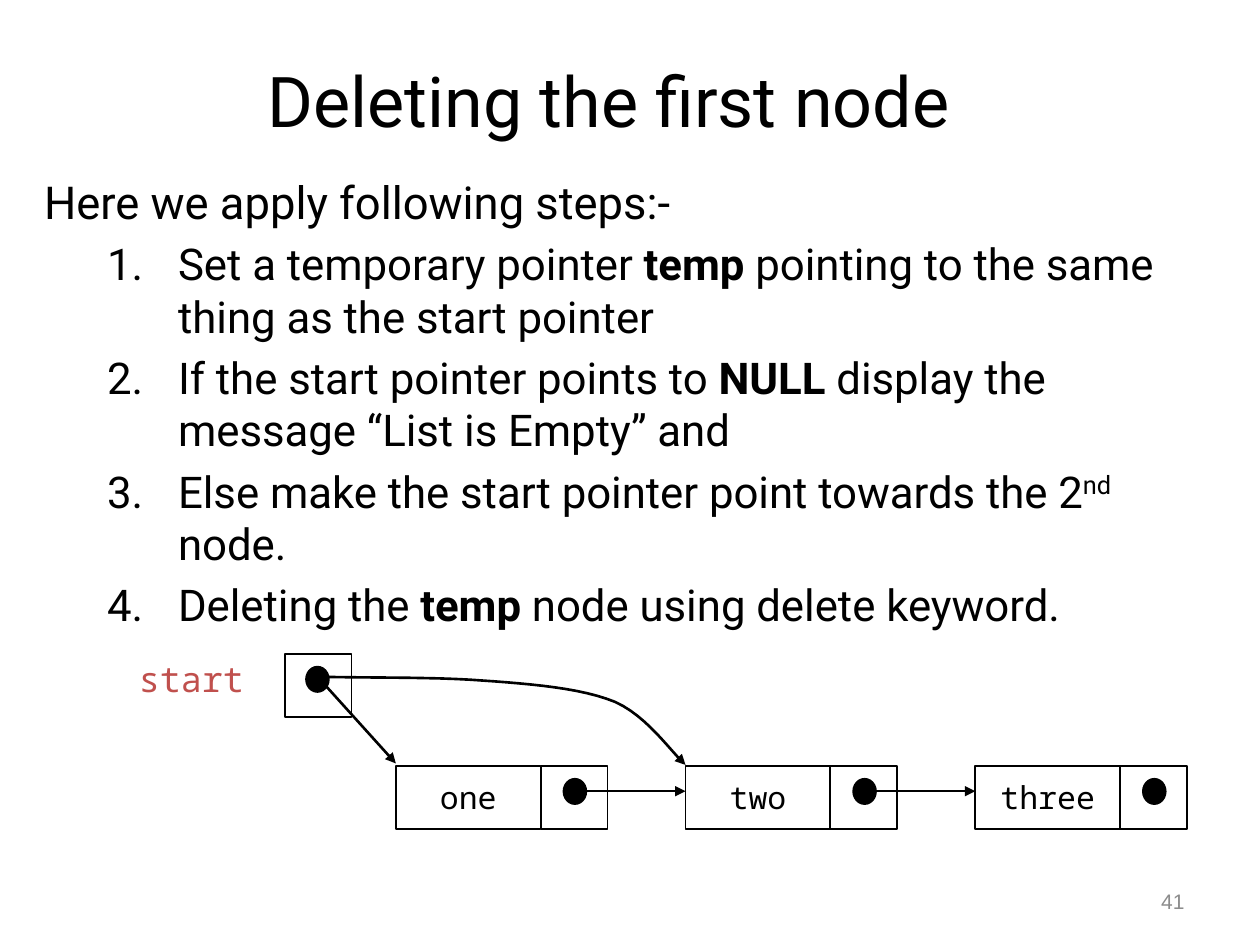
from lxml.etree import SubElement
from pptx import Presentation
from pptx.dml.color import RGBColor
from pptx.enum.shapes import MSO_CONNECTOR, MSO_SHAPE
from pptx.enum.text import MSO_ANCHOR, PP_ALIGN
from pptx.oxml.ns import qn
from pptx.util import Cm, Pt

COLORS = {"ink": "000000", "start": "C0504D", "number": "8C8C8C"}
BODY_FONT, CODE_FONT = "Roboto", "Noto Sans Mono"

prs = Presentation()
prs.slide_width, prs.slide_height = Cm(25.4), Cm(19.05)
slide = prs.slides.add_slide(prs.slide_layouts[6])
shapes = slide.shapes


def add_run(paragraph, text, size, font, color="ink", bold=False):
    run = paragraph.add_run()
    run.text = text
    run.font.size, run.font.name, run.font.bold = Pt(size), font, bold
    run.font.color.rgb = RGBColor.from_string(COLORS[color])
    return run


def style_line(shape, width, arrow=False):
    shape.line.color.rgb = RGBColor.from_string(COLORS["ink"])
    shape.line.width = Pt(width)
    if arrow:
        SubElement(shape.line._get_or_add_ln(), qn("a:tailEnd"), type="triangle")


# Title, start label and slide number
for text, box, size, font, color, align, anchor in [
    ("Deleting the first node", (0.84, 0.84, 22.86, 2.34), 40, BODY_FONT, "ink",
     PP_ALIGN.CENTER, MSO_ANCHOR.MIDDLE),
    ("start", (2.55, 13.13, 3.42, 1.32), 20, CODE_FONT, "start",
     PP_ALIGN.LEFT, MSO_ANCHOR.TOP),
    ("41", (18.21, 17.65, 5.92, 1.02), 12, "Arial", "number",
     PP_ALIGN.RIGHT, MSO_ANCHOR.MIDDLE),
]:
    frame = shapes.add_textbox(*map(Cm, box)).text_frame
    frame.word_wrap, frame.vertical_anchor = True, anchor
    frame.paragraphs[0].alignment = align
    add_run(frame.paragraphs[0], text, size, font, color)

# Steps: each run is its text and its style
steps = [
    [("Set a temporary pointer ", ""), ("temp ", "bold"),
     ("pointing to the same thing as the start pointer", "")],
    [("If the start pointer points to ", ""), ("NULL ", "bold"),
     ("display the message “List is Empty” and", "")],
    [("Else make the start pointer point towards the 2", ""), ("nd", "super"),
     (" node.", "")],
    [("Deleting the ", ""), ("temp", "bold"), (" node using delete keyword.", "")],
]
body = shapes.add_textbox(Cm(0.64), Cm(3.38), Cm(24.13), Cm(8.89)).text_frame
body.word_wrap = True
add_run(body.paragraphs[0], "Here we apply following steps:-", 25.9, BODY_FONT)
for step in steps:
    paragraph = body.add_paragraph()
    properties = paragraph._p.get_or_add_pPr()
    properties.set("marL", str(Cm(2.7)))
    properties.set("indent", str(Cm(-1.43)))
    paragraph.space_before = Pt(5)
    SubElement(properties, qn("a:buFont"), typeface="+mj-lt")
    SubElement(properties, qn("a:buAutoNum"), type="arabicPeriod")
    for text, style in step:
        run = add_run(paragraph, text, 25, BODY_FONT, bold=style == "bold")
        if style == "super":
            run.font._element.set("baseline", "30000")

# Linked list
FIRST_LEFT, NODE_STEP, NODE_TOP = 7.98, 5.84, 15.44
DATA_WIDTH, POINTER_WIDTH, CELL_HEIGHT = 2.92, 1.35, 1.27
DOT_WIDTH, DOT_HEIGHT = 0.46, 0.51
START_LEFT, START_TOP = 5.74, 13.18
LINK_Y = 15.95
node_lefts = [FIRST_LEFT + NODE_STEP * i for i in range(3)]

cells = [(START_LEFT, START_TOP, POINTER_WIDTH, "")]
dots = [(START_LEFT + 0.43, START_TOP + 0.26)]
for left, label in zip(node_lefts, ["one", "two", "three"]):
    cells.append((left, NODE_TOP, DATA_WIDTH, label))
    cells.append((left + DATA_WIDTH, NODE_TOP, POINTER_WIDTH, ""))
    dots.append((left + DATA_WIDTH + 0.46, NODE_TOP + 0.26))

for left, top, width, label in cells:
    cell = shapes.add_shape(MSO_SHAPE.RECTANGLE, Cm(left), Cm(top), Cm(width), Cm(CELL_HEIGHT))
    cell.shadow.inherit = False
    cell.fill.background()
    style_line(cell, 1)
    if label:
        cell.text_frame.word_wrap = False
        cell.text_frame.vertical_anchor = MSO_ANCHOR.MIDDLE
        cell.text_frame.paragraphs[0].alignment = PP_ALIGN.CENTER
        add_run(cell.text_frame.paragraphs[0], label, 18, CODE_FONT)

for left, top in dots:
    dot = shapes.add_shape(MSO_SHAPE.OVAL, Cm(left), Cm(top), Cm(DOT_WIDTH), Cm(DOT_HEIGHT))
    dot.shadow.inherit = False
    dot.fill.solid()
    dot.fill.fore_color.rgb = RGBColor.from_string(COLORS["ink"])
    style_line(dot, 1)

links = [(left + 3.61, LINK_Y, left + NODE_STEP, LINK_Y, 1) for left in node_lefts[:2]]
links.append((6.4, 13.64, FIRST_LEFT, 15.39, 1.5))
for x1, y1, x2, y2, width in links:
    link = shapes.add_connector(MSO_CONNECTOR.STRAIGHT, Cm(x1), Cm(y1), Cm(x2), Cm(y2))
    style_line(link, width, arrow=True)
    SubElement(link._element.spPr, qn("a:effectLst"))

# New start link: cubic curves, each with two control points and an end
curves = [
    [(6.96, 13.67), (8.74, 13.64), (9.73, 13.72)],
    [(10.72, 13.79), (11.71, 13.87), (12.4, 14.15)],
    [(13.06, 14.45), (13.51, 15.14), (13.82, 15.42)],
]
CURVE_STEPS = 12
origin = current = (6.4, 13.64)
points = []
for control_1, control_2, end in curves:
    for i in range(1, CURVE_STEPS + 1):
        t = i / CURVE_STEPS
        points.append([
            Cm((1 - t) ** 3 * a + 3 * (1 - t) ** 2 * t * b + 3 * (1 - t) * t ** 2 * c + t ** 3 * d)
            for a, b, c, d in zip(current, control_1, control_2, end)
        ])
    current = end
builder = shapes.build_freeform(Cm(origin[0]), Cm(origin[1]))
builder.add_line_segments(points, close=False)
new_link = builder.convert_to_shape()
new_link.shadow.inherit = False
new_link.fill.background()
style_line(new_link, 1.5, arrow=True)

prs.save("out.pptx")
